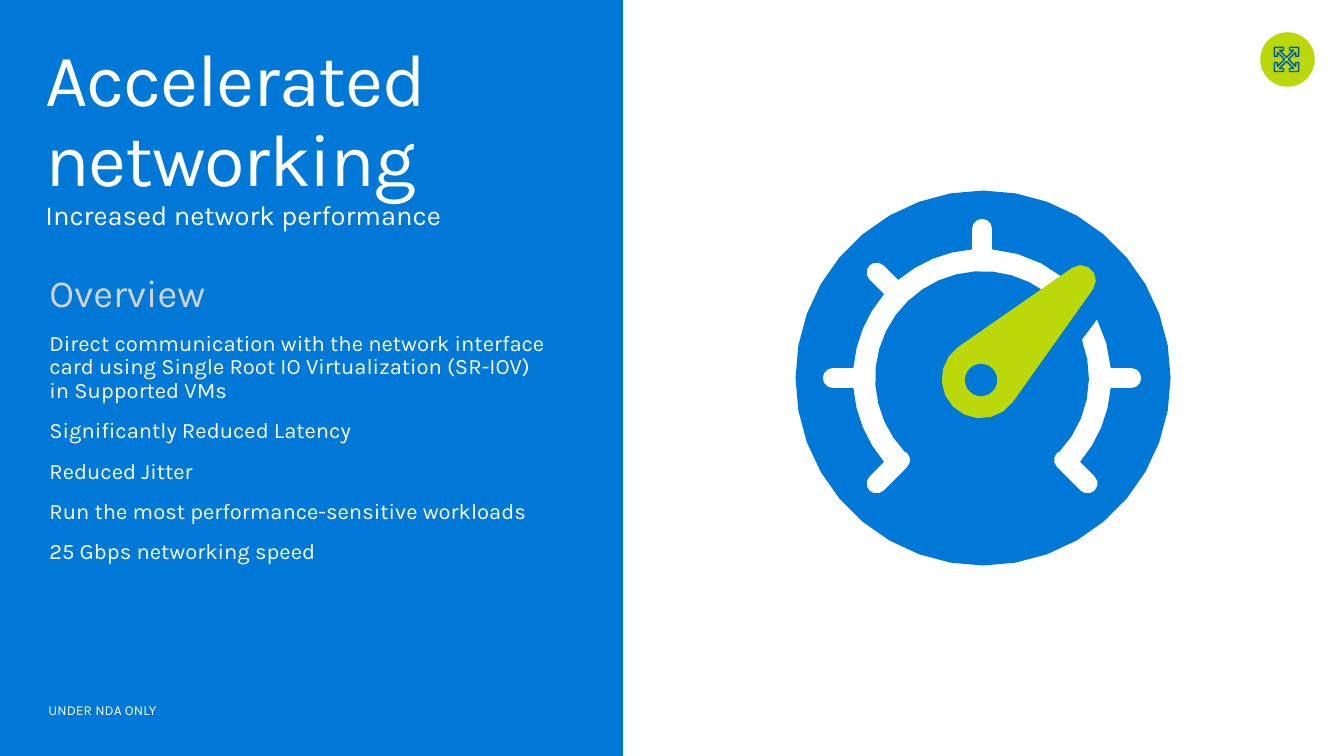
import math
from dataclasses import dataclass

from pptx import Presentation
from pptx.dml.color import RGBColor
from pptx.enum.shapes import MSO_SHAPE
from pptx.enum.text import MSO_ANCHOR
from pptx.shapes.autoshape import Shape
from pptx.shapes.shapetree import GroupShapes
from pptx.slide import Slide
from pptx.text.text import Font
from pptx.util import Inches, Pt

ELLIPSE = MSO_SHAPE.OVAL
RECTANGLE = MSO_SHAPE.RECTANGLE
TOP = MSO_ANCHOR.TOP

FONT = "Karla"
COLORS = {
    "blue": "0078D7",
    "dark_blue": "005AA1",
    "green": "BAD80A",
    "white": "FFFFFF",
    "grey": "D2D2D2",
}

Point = tuple[float, float]


@dataclass
class Circle:
    x: float
    y: float
    radius: float

    def point(self, degrees: float) -> Point:
        """Point on the rim, measured clockwise from the right."""
        angle = math.radians(degrees)
        return (self.x + self.radius * math.cos(angle),
                self.y + self.radius * math.sin(angle))

    def arc(self, start: float, end: float) -> list[Point]:
        step = 10 if self.radius > 1 else 20 if self.radius > 0.2 else 30
        count = max(1, round(abs(end - start) / step))
        return [self.point(start + (end - start) * i / count) for i in range(count + 1)]


@dataclass
class TextLine:
    text: str
    size: float
    color: str = "white"
    spacing: float = 0


DISC = Circle(9.75, 3.75, 1.86)
DIAL_OUTER = Circle(9.74, 3.75, 1.28)
DIAL_INNER = Circle(9.74, 3.75, 1.06)
TICK_RADIUS = 0.1
TICK_TIP = Circle(9.74, 3.75, 1.48)
TICK_FOOT = Circle(9.74, 3.75, 1.15)
TICK_SPREAD = math.degrees(math.asin(TICK_RADIUS / DIAL_OUTER.radius))

HUB = Circle(9.73, 3.76, 0.39)
HUB_HOLE = Circle(9.73, 3.77, 0.16)
NEEDLE_TIP = Circle(10.72, 2.78, 0.15)

BADGE = Circle(12.77, 0.59, 0.27)
ICON_CENTER = (12.76, 0.59)
ARROW = [(0, -0.02), (0.07, -0.09), (0.03, -0.09), (0.03, -0.12),
         (0.12, -0.12), (0.12, -0.03), (0.09, -0.03), (0.09, -0.07)]

TITLE = [
    TextLine("Accelerated", 52.9, spacing=-0.9),
    TextLine("networking", 52.9, spacing=-0.9),
    TextLine("Increased network performance", 19.6),
]
OVERVIEW = [TextLine("Overview", 27.4, "grey")] + [
    TextLine(text, 15.7) for text in (
        "Direct communication with the network interface\v"
        "card using Single Root IO Virtualization (SR-IOV)\v"
        "in Supported VMs",
        "Significantly Reduced Latency",
        "Reduced Jitter",
        "Run the most performance-sensitive workloads",
        "25 Gbps networking speed",
    )
]


def rgb(color: str) -> RGBColor:
    return RGBColor.from_string(COLORS[color])


def paint(shape: Shape, color: str) -> None:
    shape.shadow.inherit = False
    shape.fill.solid()
    shape.fill.fore_color.rgb = rgb(color)
    shape.line.fill.background()


def add_preset(shapes: GroupShapes, preset: MSO_SHAPE, left: float, top: float,
               width: float, height: float, color: str) -> None:
    paint(shapes.add_shape(preset, Inches(left), Inches(top), Inches(width), Inches(height)),
          color)


def add_circle(shapes: GroupShapes, circle: Circle, color: str) -> None:
    add_preset(shapes, ELLIPSE, circle.x - circle.radius, circle.y - circle.radius,
               2 * circle.radius, 2 * circle.radius, color)


def add_outline(shapes: GroupShapes, contours: list[list[Point]], color: str) -> Shape:
    """Draw one shape; contours after the first are holes."""
    scaled = [[(Inches(x), Inches(y)) for x, y in contour] for contour in contours]
    builder = shapes.build_freeform(*scaled[0][0])
    for index, contour in enumerate(scaled):
        if index:
            builder.move_to(*contour[0])
        builder.add_line_segments(contour[1:], close=True)
    shape = builder.convert_to_shape()
    paint(shape, color)
    return shape


def tick_end(middle: Circle, angle: float, start: float, end: float) -> list[Point]:
    """Rounded end of the tick at an angle, swept relative to that angle."""
    return Circle(*middle.point(angle), TICK_RADIUS).arc(angle + start, angle + end)


def dial_left() -> list[Point]:
    ticks = [135, 180, 225, 270]
    contour = tick_end(TICK_FOOT, ticks[0], 180, 270)
    for tick, following in zip(ticks, ticks[1:] + [309 + TICK_SPREAD]):
        contour += tick_end(TICK_TIP, tick, -90, 90)
        contour += DIAL_OUTER.arc(tick + TICK_SPREAD, following - TICK_SPREAD)
    return contour + DIAL_INNER.arc(306, 136)


def dial_right() -> list[Point]:
    contour = DIAL_OUTER.arc(-27, -TICK_SPREAD) + tick_end(TICK_TIP, 0, -90, 90)
    contour += DIAL_OUTER.arc(TICK_SPREAD, 45 - TICK_SPREAD)
    contour += tick_end(TICK_TIP, 45, -90, 90) + tick_end(TICK_FOOT, 45, 90, 180)
    return contour + DIAL_INNER.arc(44, -21)


def needle() -> list[Point]:
    """Join hub and tip along their common tangents."""
    dx, dy = NEEDLE_TIP.x - HUB.x, NEEDLE_TIP.y - HUB.y
    heading = math.degrees(math.atan2(dy, dx))
    spread = math.degrees(math.acos((HUB.radius - NEEDLE_TIP.radius) / math.hypot(dx, dy)))
    return (HUB.arc(heading + spread, heading + 360 - spread)
            + NEEDLE_TIP.arc(heading - spread, heading + spread))


def add_gauge(slide: Slide) -> None:
    shapes = slide.shapes.add_group_shape().shapes
    add_preset(shapes, RECTANGLE, 6.18, 0, 7.15, 7.5, "white")
    add_outline(shapes, [DISC.arc(0, 360), dial_left(), dial_right()], "blue")
    add_outline(shapes, [needle()], "green")
    add_circle(shapes, HUB_HOLE, "blue")


def add_expand_badge(slide: Slide) -> None:
    shapes = slide.shapes.add_group_shape().shapes
    add_circle(shapes, BADGE, "green")
    center_x, center_y = ICON_CENTER
    points, arrow = [], ARROW
    for _ in range(4):
        points += [(center_x + x, center_y + y) for x, y in arrow]
        arrow = [(-y, x) for x, y in arrow]
    icon = add_outline(shapes, [points], "green")
    icon.fill.background()
    icon.line.color.rgb = rgb("dark_blue")
    icon.line.width = Pt(1)


def set_font(font: Font, line: TextLine) -> None:
    font.name = FONT
    font.size = Pt(line.size)
    font.color.rgb = rgb(line.color)


def add_text_box(slide: Slide, left: float, top: float, width: float, height: float,
                 side_inset: float, top_inset: float, wrap: bool = True) -> Shape:
    box = slide.shapes.add_textbox(Inches(left), Inches(top), Inches(width), Inches(height))
    frame = box.text_frame
    frame.word_wrap = wrap
    frame.vertical_anchor = TOP
    frame.margin_left = frame.margin_right = Inches(side_inset)
    frame.margin_top = frame.margin_bottom = Inches(top_inset)
    frame.paragraphs[0].line_spacing = 0.9
    return box


def add_title(slide: Slide) -> None:
    paragraph = add_text_box(slide, 0.29, 0.32, 12.75, 0.98, 0.16, 0.1).text_frame.paragraphs[0]
    for index, line in enumerate(TITLE):
        if index:
            paragraph.add_line_break()
        run = paragraph.add_run()
        run.text = line.text
        set_font(run.font, line)
        run._r.get_or_add_rPr().set("spc", str(round(line.spacing * 100)))


def add_overview(slide: Slide) -> None:
    frame = add_text_box(slide, 0.33, 2.62, 5.85, 0.5, 0.16, 0.1).text_frame
    for index, line in enumerate(OVERVIEW):
        paragraph = frame.add_paragraph() if index else frame.paragraphs[0]
        paragraph.text = line.text
        paragraph.line_spacing = 0.9
        if index:
            paragraph.space_before = Pt(11.8)
        set_font(paragraph.font, line)


def add_footer(slide: Slide) -> None:
    box = add_text_box(slide, 0.28, 6.91, 1.55, 0.47, 0.2, 0.16, wrap=False)
    paragraph = box.text_frame.paragraphs[0]
    paragraph.text = "UNDER NDA ONLY"
    set_font(paragraph.font, TextLine(paragraph.text, 9.8))


def main() -> None:
    presentation = Presentation()
    presentation.slide_width, presentation.slide_height = Inches(13.33), Inches(7.5)
    slide = presentation.slides.add_slide(presentation.slide_layouts[6])
    slide.background.fill.solid()
    slide.background.fill.fore_color.rgb = rgb("blue")
    for add_part in (add_title, add_overview, add_gauge, add_expand_badge, add_footer):
        add_part(slide)
    presentation.save("out.pptx")


if __name__ == "__main__":
    main()
